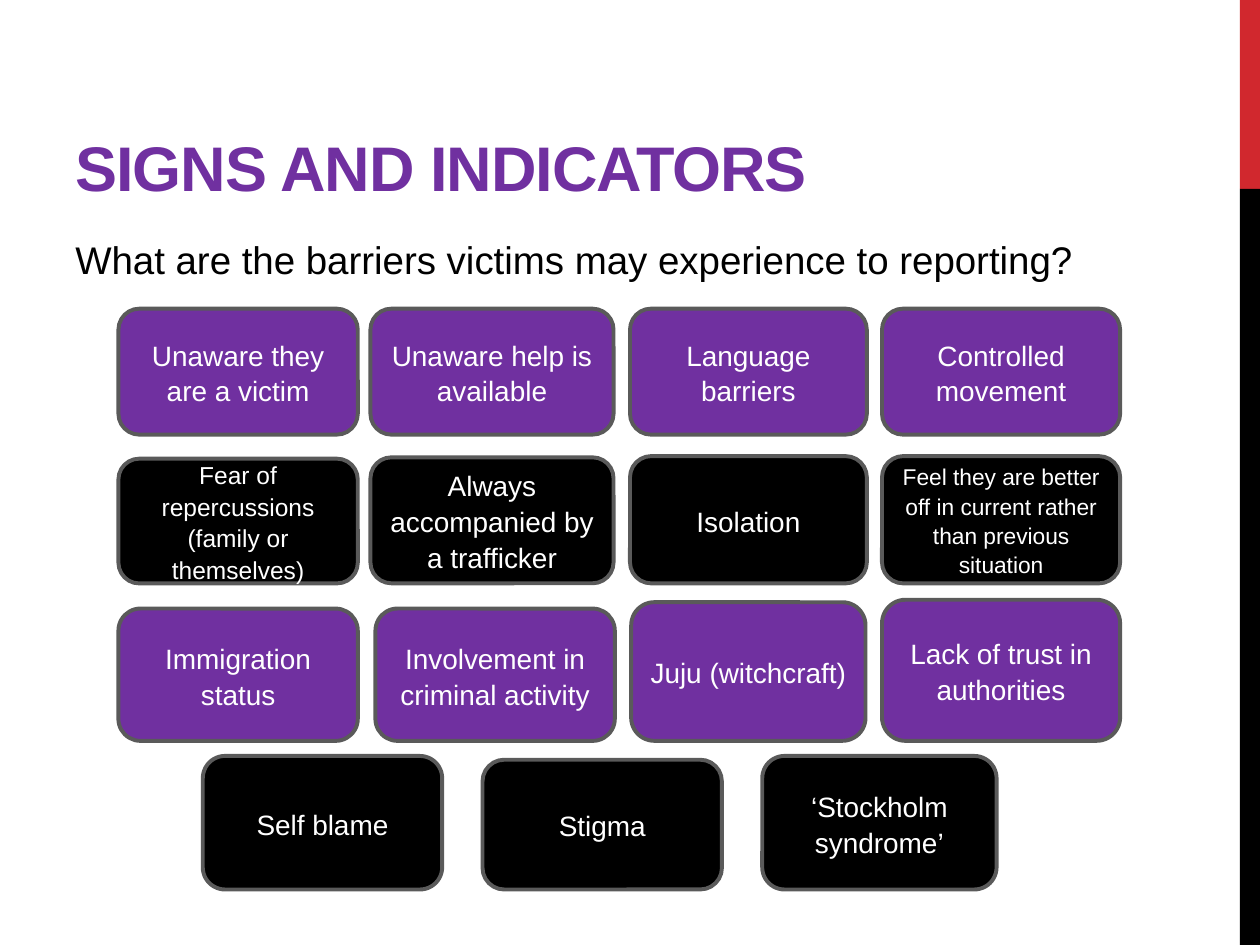
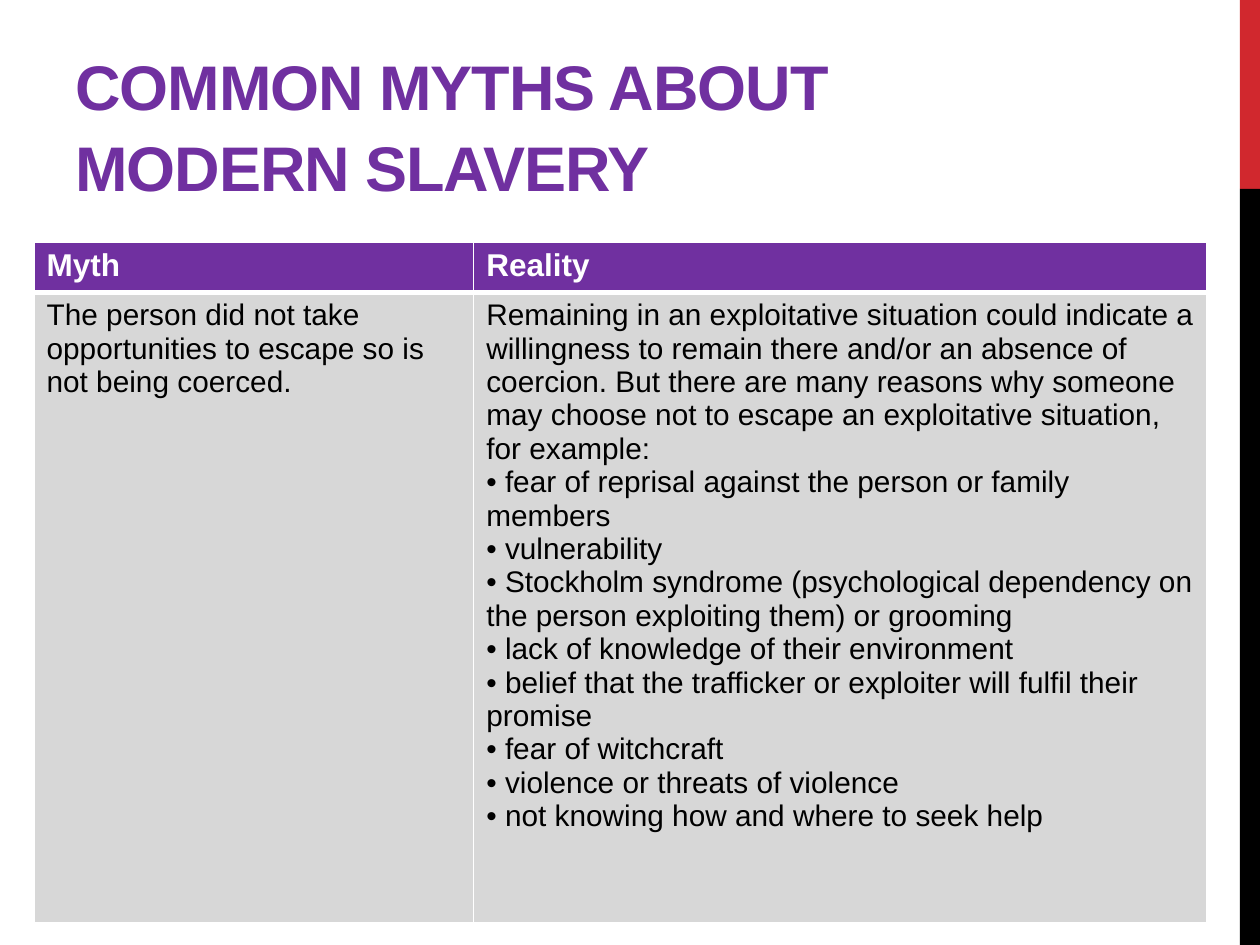
from pptx import Presentation
from pptx.dml.color import RGBColor
from pptx.enum import shapes, text
from pptx.oxml import parse_xml
from pptx.oxml.ns import nsdecls
from pptx.util import Inches, Pt

COLORS = dict(purple="7030A0", black="000000", white="FFFFFF",
              red="D1282E", outline="5A5A5A", gray="D7D7D7")
FONT = "Arial"
WIDTH, HEIGHT = 10, 7.5
BAND_WIDTH = 0.16
BANDS = [("red", 0, 0.2), ("black", 0.2, 0.8)]
LINE_SPACING = 1.07
FORMATS = {
    "title": dict(size=36, color="purple", bold=True),
    "question": dict(size=22, color="black"),
    "tile": dict(size=16, color="white"),
    "header": dict(size=18, color="white", bold=True),
    "body": dict(size=17, color="black"),
}

SIGNS = "SIGNS AND INDICATORS"
QUESTION = "What are the barriers victims may experience to reporting?"
COLUMNS = [(0.94, 1.9), (2.94, 1.93), (5, 1.88), (7, 1.89)]
SHIFTED = [(0.94, 1.9), (2.98, 1.9), (5.01, 1.86), (7, 1.89)]
LAST_COLUMNS = [(1.61, 1.9), (3.83, 1.9), (6.05, 1.86)]
BARRIERS = [
    (COLUMNS, (2.45, 2.45, 2.45, 2.45), 3.45,
     ["Unaware they are a victim", "Unaware help is available",
      "Language barriers", "Controlled movement"]),
    (COLUMNS, (3.64, 3.63, 3.62, 3.62), 4.63,
     ["Fear of repercussions (family or themselves)",
      "Always accompanied by a trafficker", "Isolation",
      "Feel they are better off in current rather than previous situation"]),
    (SHIFTED, (4.83, 4.83, 4.78, 4.76), 5.88,
     ["Immigration status", "Involvement in criminal activity",
      "Juju (witchcraft)", "Lack of trust in authorities"]),
    (LAST_COLUMNS, (6, 6.03, 6), 7.06,
     ["Self blame", "Stigma", "‘Stockholm syndrome’"]),
]
SMALL_TILES = {BARRIERS[1][3][0]: 14, BARRIERS[1][3][3]: 13}

MYTHS = "COMMON MYTHS ABOUT MODERN SLAVERY"
REASONS = [
    "fear of reprisal against the person or family members",
    "vulnerability",
    "Stockholm syndrome (psychological dependency on the person exploiting them) or grooming",
    "lack of knowledge of their environment",
    "belief that the trafficker or exploiter will fulfil their promise",
    "fear of witchcraft",
    "violence or threats of violence",
    "not knowing how and where to seek help",
]
MYTH_ROWS = [
    [["Myth"], ["Reality"]],
    [["The person did not take opportunities to escape so is not being coerced."],
     ["Remaining in an exploitative situation could indicate a willingness to "
      "remain there and/or an absence of coercion. But there are many reasons why "
      "someone may choose not to escape an exploitative situation, for example:"]
     + [f"• {reason}" for reason in REASONS]],
]
MYTH_COLUMNS = (3.49, 5.82)
MYTH_HEIGHTS = (0.38, 5)
MYTH_STYLES = [("header", "purple", 3), ("body", "gray", 1)]


def rgb(name):
    return RGBColor.from_string(COLORS[name])


def write(frame, paragraphs, style, spacing=None, align=None, **changes):
    values = {**FORMATS[style], **changes}
    font_values = dict(name=FONT, size=Pt(values["size"]),
                       bold=values.get("bold", False))
    frame.word_wrap = True
    for index, words in enumerate(paragraphs):
        paragraph = frame.add_paragraph() if index else frame.paragraphs[0]
        paragraph.alignment = align
        paragraph.line_spacing = spacing
        run = paragraph.add_run()
        run.text = words
        for key, value in font_values.items():
            setattr(run.font, key, value)
        run.font.color.rgb = rgb(values["color"])


def add_box(slide, kind, box, fill, outline=None):
    shape = slide.shapes.add_shape(kind, *map(Inches, box))
    shape.shadow.inherit = False
    shape.fill.solid()
    shape.fill.fore_color.rgb = rgb(fill)
    if outline:
        shape.line.color.rgb = rgb(outline)
        shape.line.width = Pt(2.25)
    else:
        shape.line.fill.background()
    return shape


def add_text(slide, box, words, style, anchor):
    frame = slide.shapes.add_textbox(*map(Inches, box)).text_frame
    write(frame, [words], style, LINE_SPACING)
    frame.vertical_anchor = anchor
    return frame


def start_slide(deck, title, title_width):
    slide = deck.slides.add_slide(deck.slide_layouts[6])
    for color, top, share in BANDS:
        add_box(slide, shapes.MSO_SHAPE.RECTANGLE,
                (WIDTH - BAND_WIDTH, top * HEIGHT, BAND_WIDTH, share * HEIGHT), color)
    frame = add_text(slide, (0.5, 0.17, title_width, 1.5), title, "title",
                     text.MSO_ANCHOR.BOTTOM)
    frame.paragraphs[0].runs[0].font._element.set("spc", "-60")
    return slide


def add_barriers(slide):
    for row, (columns, tops, bottom, barriers) in enumerate(BARRIERS):
        for (left, width), top, barrier in zip(columns, tops, barriers):
            tile = add_box(slide, shapes.MSO_SHAPE.ROUNDED_RECTANGLE,
                           (left, top, width, bottom - top),
                           ("purple", "black")[row % 2], "outline")
            frame = tile.text_frame
            frame.margin_left = frame.margin_right = Inches(0.08)
            frame.vertical_anchor = text.MSO_ANCHOR.MIDDLE
            write(frame, [barrier], "tile", LINE_SPACING, text.PP_ALIGN.CENTER,
                  size=SMALL_TILES.get(barrier, FORMATS["tile"]["size"]))


def set_borders(cell, bottom):
    properties = cell._tc.get_or_add_tcPr()
    for index, (side, points) in enumerate(dict(L=1, R=1, T=1, B=bottom).items()):
        properties.insert(index, parse_xml(
            f'<a:ln{side} {nsdecls("a")} w="{Pt(points)}"><a:solidFill>'
            f'<a:srgbClr val="{COLORS["white"]}"/></a:solidFill></a:ln{side}>'))


def add_myths(slide):
    box = (0.27, 1.92, sum(MYTH_COLUMNS), sum(MYTH_HEIGHTS))
    table = slide.shapes.add_table(len(MYTH_ROWS), len(MYTH_COLUMNS),
                                   *map(Inches, box)).table
    for column, width in zip(table.columns, MYTH_COLUMNS):
        column.width = Inches(width)
    for row, height, contents, (style, fill, bottom) in zip(
            table.rows, MYTH_HEIGHTS, MYTH_ROWS, MYTH_STYLES):
        row.height = Inches(height)
        for cell, paragraphs in zip(row.cells, contents):
            cell.fill.solid()
            cell.fill.fore_color.rgb = rgb(fill)
            set_borders(cell, bottom)
            write(cell.text_frame, paragraphs, style)


def main():
    deck = Presentation()
    deck.slide_width, deck.slide_height = Inches(WIDTH), Inches(HEIGHT)
    signs = start_slide(deck, SIGNS, 6.33)
    add_text(signs, (0.5, 1.8, 9.07, 0.47), QUESTION, "question", text.MSO_ANCHOR.TOP)
    add_barriers(signs)
    add_myths(start_slide(deck, MYTHS, 8.33))
    deck.save("out.pptx")


if __name__ == "__main__":
    main()
